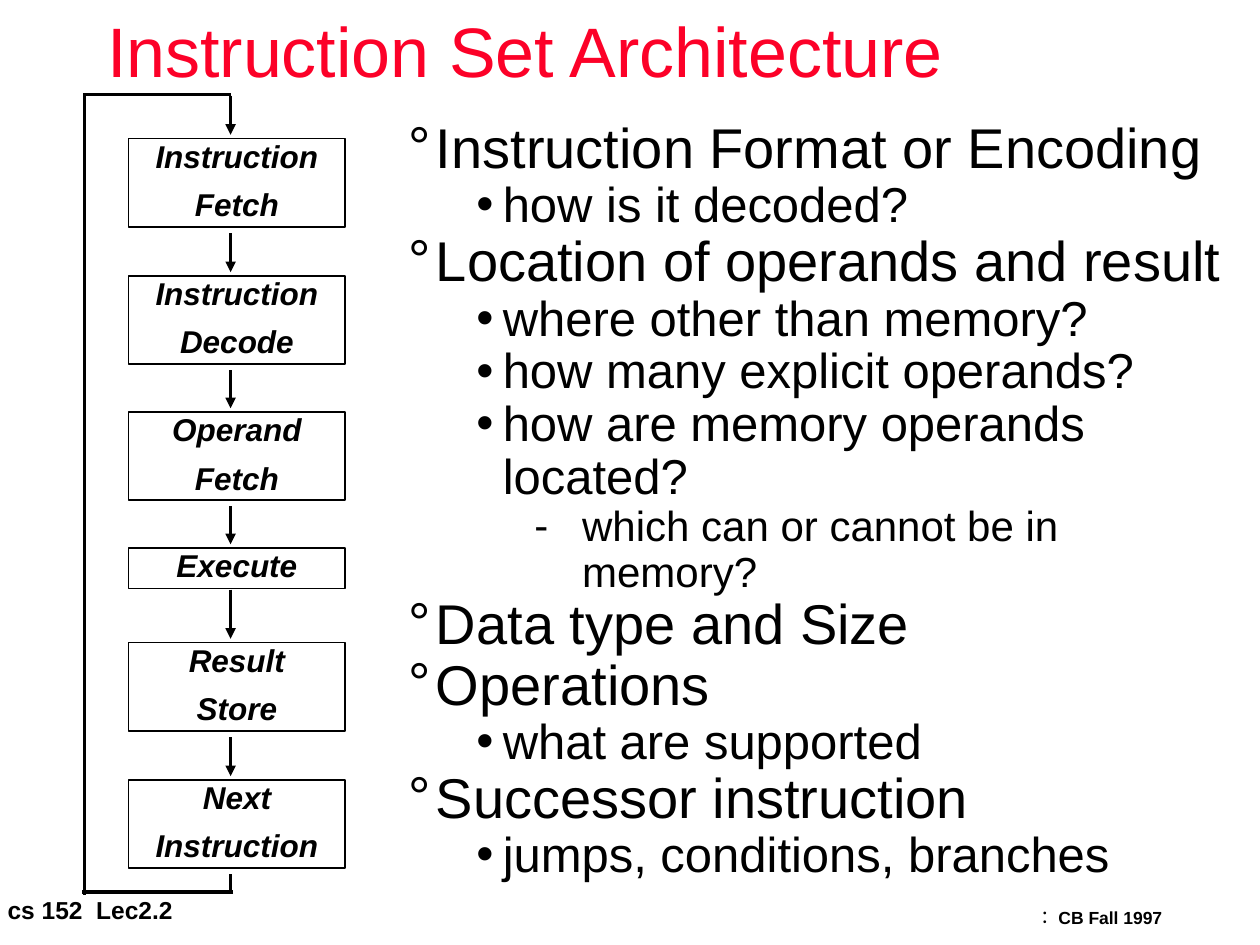
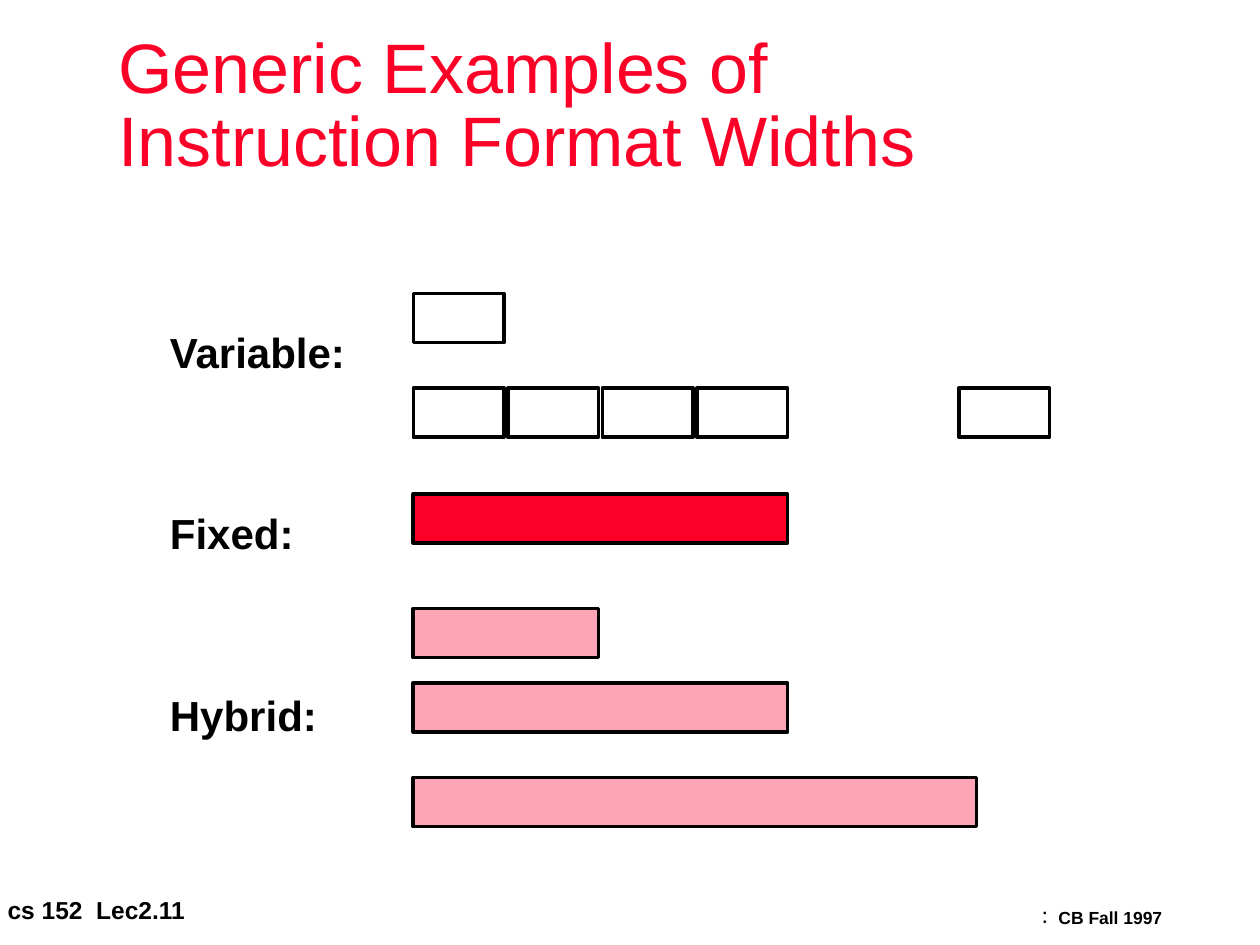
from lxml import etree
from pptx import Presentation
from pptx.dml.color import RGBColor
from pptx.enum import shapes, text
from pptx.oxml import ns
from pptx.util import Inches, Pt

COLORS = {"ink": "000000", "title": "FC0128", "fixed": "FC0128", "hybrid": "FDA4B5"}
FONT = "Arial"
# Per list level: bullet, text size, left margin, hanging indent
LEVELS = [("°", 32, 0.22, 0.22), ("•", 28, 0.75, 0.21), ("-", 24, 1.38, 0.38)]


def rgb(name):
    return RGBColor.from_string(COLORS[name])


def write(frame, lines, size, color="ink", bold=False, italic=False,
          align=text.PP_ALIGN.LEFT, spacing=1.0, gap=0, wrap=True, margins=(0.07, 0.03)):
    """Fill a text frame with one paragraph per line; gap is the space between them."""
    frame.word_wrap = wrap
    frame.auto_size = text.MSO_AUTO_SIZE.NONE
    frame.vertical_anchor = text.MSO_ANCHOR.TOP
    frame.margin_left = frame.margin_right = Inches(margins[0])
    frame.margin_top = frame.margin_bottom = Inches(margins[1])
    for index, line in enumerate(lines):
        paragraph = frame.paragraphs[0] if index == 0 else frame.add_paragraph()
        paragraph.alignment = align
        paragraph.line_spacing = spacing
        paragraph.space_before = Pt(gap if index else 0)
        run = paragraph.add_run()
        run.text = line
        font = run.font
        font.name, font.size, font.bold, font.italic = FONT, Pt(size), bold, italic
        font.color.rgb = rgb(color)


def set_bullet(paragraph, mark, margin, hanging):
    props = paragraph._p.get_or_add_pPr()
    props.set("marL", str(Inches(margin)))
    props.set("indent", str(-Inches(hanging)))
    color = etree.SubElement(props, ns.qn("a:buClr"))
    etree.SubElement(color, ns.qn("a:srgbClr"), val=COLORS["ink"])
    etree.SubElement(props, ns.qn("a:buFont"), typeface=FONT)
    etree.SubElement(props, ns.qn("a:buChar"), char=mark)


class Deck:
    def __init__(self):
        self.prs = Presentation()
        self.prs.slide_width, self.prs.slide_height = Inches(10), Inches(7.5)
        self.slide = None

    def new_slide(self, layout, title, place, lecture):
        self.slide = self.prs.slides.add_slide(self.prs.slide_layouts.get_by_name(layout))
        heading = self.slide.shapes.title
        self.move(heading, *place)
        write(heading.text_frame, [title], 40, color="title", spacing=0.87)
        self.label([f"cs 152  Lec{lecture}"], -0.01, 7.07, 2.29, 0.29, size=14)
        self.label(["︰CB Fall 1997"], 8.16, 7.17, 1.13, 0.22, size=10)

    def move(self, shape, left, top, width, height):
        shape.left, shape.top = Inches(left), Inches(top)
        shape.width, shape.height = Inches(width), Inches(height)

    def label(self, lines, left, top, width, height, **style):
        box = self.slide.shapes.add_textbox(
            Inches(left), Inches(top), Inches(width), Inches(height))
        write(box.text_frame, lines, bold=True, wrap=False, **style)

    def bullets(self, items, left, top, width, height):
        """Fill the body placeholder with (level, line) items."""
        body = self.slide.placeholders[1]
        self.move(body, left, top, width, height)
        write(body.text_frame, [line for _, line in items], 32, spacing=0.9)
        for paragraph, (level, _) in zip(body.text_frame.paragraphs, items):
            mark, size, margin, hanging = LEVELS[level]
            paragraph.level = level
            set_bullet(paragraph, mark, margin, hanging)
            paragraph.runs[0].font.size = Pt(size)

    def box(self, left, top, width, height, fill=None, weight=2, lines=()):
        shape = self.slide.shapes.add_shape(
            shapes.MSO_SHAPE.RECTANGLE,
            Inches(left), Inches(top), Inches(width), Inches(height))
        shape.shadow.inherit = False
        if fill:
            shape.fill.solid()
            shape.fill.fore_color.rgb = rgb(fill)
        else:
            shape.fill.background()
        shape.line.color.rgb = rgb("ink")
        shape.line.width = Pt(weight)
        if lines:
            write(shape.text_frame, lines, 18, bold=True, italic=True,
                  align=text.PP_ALIGN.CENTER, spacing=0.86, gap=9)

    def line(self, x1, y1, x2, y2, arrow=False):
        connector = self.slide.shapes.add_connector(
            shapes.MSO_CONNECTOR.STRAIGHT, Inches(x1), Inches(y1), Inches(x2), Inches(y2))
        connector.line.color.rgb = rgb("ink")
        connector.line.width = Pt(2)
        if arrow:
            etree.SubElement(connector.line._get_or_add_ln(), ns.qn("a:tailEnd"),
                             type="triangle")
        etree.SubElement(connector._element.spPr, ns.qn("a:effectLst"))


def architecture_slide(deck):
    deck.new_slide("Title and Content", "Instruction Set Architecture",
                   (0.78, 0.12, 6.81, 0.64), "2.2")
    stages = [(1.1, "Instruction Fetch"), (2.19, "Instruction Decode"),
              (3.27, "Operand Fetch"), (4.35, "Execute"),
              (5.1, "Result Store"), (6.19, "Next Instruction")]
    flow_x, loop_x, loop_top, loop_bottom = 1.83, 0.67, 0.75, 7.08
    arrow_start = loop_top + 0.01
    for top, stage in stages:
        words = stage.split()
        height = 0.7 if len(words) == 2 else 0.32
        deck.box(1.02, top, 1.72, height, weight=1, lines=words)
        deck.line(flow_x, arrow_start, flow_x, top - 0.03, arrow=True)
        arrow_start = top + height + (0.05 if len(words) == 2 else 0.01)
    deck.line(flow_x, arrow_start, flow_x, loop_bottom)
    deck.line(flow_x + 0.02, loop_bottom, loop_x - 0.02, loop_bottom)
    deck.line(loop_x, loop_bottom + 0.02, loop_x, loop_top - 0.01)
    deck.line(loop_x, loop_top, flow_x, loop_top)

    deck.bullets([
        (0, "Instruction Format or Encoding"),
        (1, "how is it decoded?"),
        (0, "Location of operands and result"),
        (1, "where other than memory?"),
        (1, "how many explicit operands?"),
        (1, "how are memory operands located?"),
        (2, "which can or cannot be in memory?"),
        (0, "Data type and Size"),
        (0, "Operations"),
        (1, "what are supported"),
        (0, "Successor instruction"),
        (1, "jumps, conditions, branches"),
    ], 3.17, 0.92, 6.67, 6.59)


def widths_slide(deck):
    deck.new_slide("Title Only", "Generic Examples of Instruction Format Widths",
                   (0.87, 0.25, 6.6, 1.22), "2.11")
    deck.label(["Variable:", "Fixed:", "Hybrid:"], 1.25, 2.59, 1.61, 3.34,
               size=24, spacing=0.9, gap=77.6, margins=(0.1, 0.05))

    left, unit, overlap, height = 3.28, 0.75, 0.03, 0.39

    def bar(top, units, fill=None, x=left):
        deck.box(x, top, units * unit - overlap, height, fill)

    bar(2.33, 1)
    for index in range(4):
        bar(3.08, 1, x=left + index * unit)
    bar(3.08, 1, x=7.61)
    bar(3.92, 4, "fixed")
    for top, units in [(4.83, 2), (5.42, 4), (6.17, 6)]:
        bar(top, units, "hybrid")


def main():
    deck = Deck()
    architecture_slide(deck)
    widths_slide(deck)
    deck.prs.save("out.pptx")


if __name__ == "__main__":
    main()
